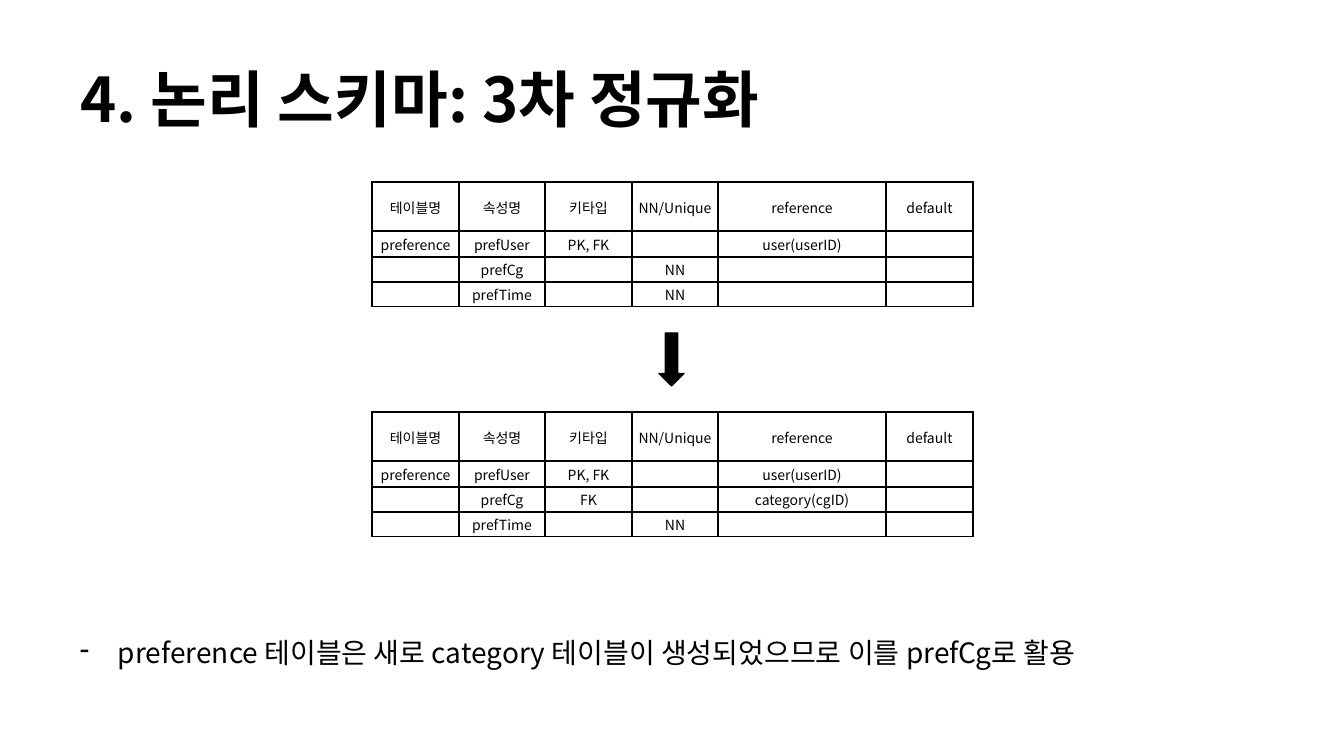
from lxml.etree import SubElement
from pptx import Presentation
from pptx.dml.color import RGBColor
from pptx.enum.shapes import MSO_SHAPE as SHAPE
from pptx.enum.text import MSO_ANCHOR as ANCHOR, MSO_AUTO_SIZE as FIT, PP_ALIGN as ALIGN
from pptx.oxml import parse_xml
from pptx.oxml.ns import nsdecls, qn
from pptx.util import Emu, Pt

BLACK = RGBColor(0x00, 0x00, 0x00)
FONT = "Noto Sans CJK KR"
COLUMNS = [87, 86, 87, 86, 168, 87]
ROWS = [49, 26, 25, 25]
HEADER = ["테이블명", "속성명", "키타입", "NN/Unique", "reference", "default"]
USER = ["preference", "prefUser", "PK, FK", "", "user(userID)", ""]
TIME = ["", "prefTime", "", "NN", "", ""]
BEFORE = [HEADER, USER, ["", "prefCg", "", "NN", "", ""], TIME]
AFTER = [HEADER, USER, ["", "prefCg", "FK", "", "category(cgID)", ""], TIME]


def px(n):
    """Turn pixels into EMU."""
    return Emu(round(n * 914400 / 100.8))


def write(p, text, size, align=ALIGN.LEFT, bold=False):
    """Fill a paragraph and set its font, for Korean letters too."""
    p.text = text
    p.alignment = align
    p.font.size = Pt(size)
    p.font.bold = bold
    p.font.color.rgb = BLACK
    p.font.name = FONT
    SubElement(p._p.pPr.find(qn("a:defRPr")), qn("a:ea"), typeface=FONT)


def add_title(s, text):
    """Place and fill the title placeholder."""
    sp = s.shapes.title
    sp.left, sp.top, sp.width, sp.height = map(px, (70, 30, 1206, 146))
    tf = sp.text_frame
    tf.auto_size = FIT.NONE
    tf.vertical_anchor = ANCHOR.MIDDLE
    write(tf.paragraphs[0], text, 44, bold=True)
    tf.paragraphs[0].line_spacing = 0.9


def add_note(s, text):
    """Add the dashed remark below the tables."""
    tf = s.shapes.add_textbox(*map(px, (70, 614, 1206, 56))).text_frame
    tf.word_wrap = True
    p = tf.paragraphs[0]
    write(p, text, 20)
    p.line_spacing = 1.5
    pPr = p._p.pPr
    pPr.set("marL", str(px(38)))
    pPr.set("indent", str(px(-38)))
    bullet = parse_xml(f'<a:buChar {nsdecls("a")} char="-"/>')
    pPr.find(qn("a:defRPr")).addprevious(bullet)


def add_arrow(s):
    """Add the arrow that points from the first table to the second."""
    sp = s.shapes.add_shape(SHAPE.RIGHT_ARROW, *map(px, (645, 347, 53, 25)))
    sp.rotation = 90
    sp.shadow.inherit = False
    sp.fill.solid()
    sp.fill.fore_color.rgb = BLACK
    sp.line.color.rgb = BLACK
    sp.line.width = Pt(1)


def format_cell(cell, text):
    """Write a centred cell with thin black borders and no fill."""
    cell.margin_left = cell.margin_right = cell.margin_top = px(1)
    cell.margin_bottom = 0
    cell.vertical_anchor = ANCHOR.MIDDLE
    write(cell.text_frame.paragraphs[0], text, 10, ALIGN.CENTER)
    cell.fill.background()
    for i, side in enumerate("LRTB"):
        cell._tc.tcPr.insert(i, parse_xml(
            f'<a:ln{side} {nsdecls("a")} w="{Pt(1)}"><a:solidFill>'
            f'<a:srgbClr val="{BLACK}"/></a:solidFill></a:ln{side}>'))


def add_schema(s, top, rows):
    """Add one schema table."""
    table = s.shapes.add_table(
        len(ROWS), len(COLUMNS),
        *map(px, (372, top, sum(COLUMNS), sum(ROWS)))).table
    table.first_row = table.horz_banding = False
    for column, width in zip(table.columns, COLUMNS):
        column.width = px(width)
    for row, height, texts in zip(table.rows, ROWS, rows):
        row.height = px(height)
        for cell, text in zip(row.cells, texts):
            format_cell(cell, text)


def main():
    """Build the slide and save it."""
    prs = Presentation()
    prs.slide_width, prs.slide_height = px(1344), px(756)
    s = prs.slides.add_slide(prs.slide_layouts[5])
    add_title(s, "4. 논리 스키마: 3차 정규화")
    add_note(s, "preference 테이블은 새로 category 테이블이 생성되었으므로 이를 prefCg로 활용")
    add_arrow(s)
    add_schema(s, 182, BEFORE)
    add_schema(s, 412, AFTER)
    prs.save("out.pptx")


main()
